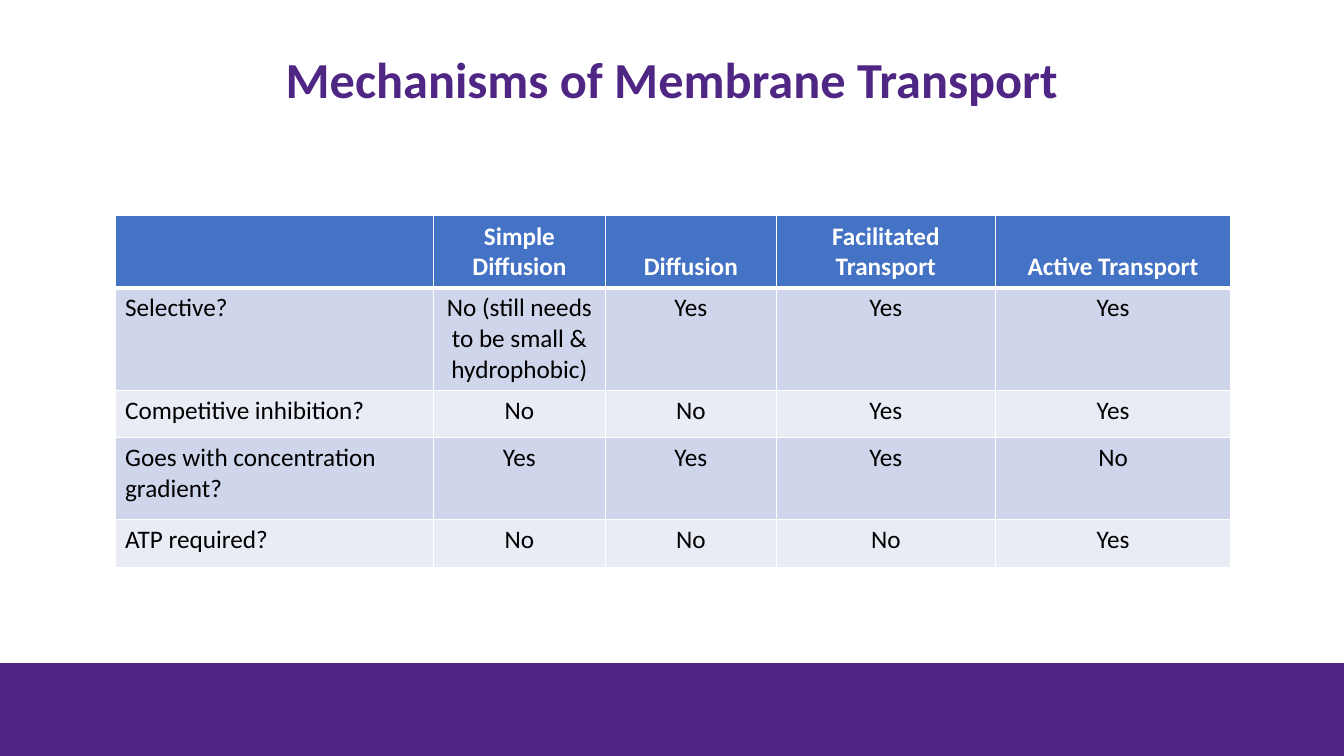
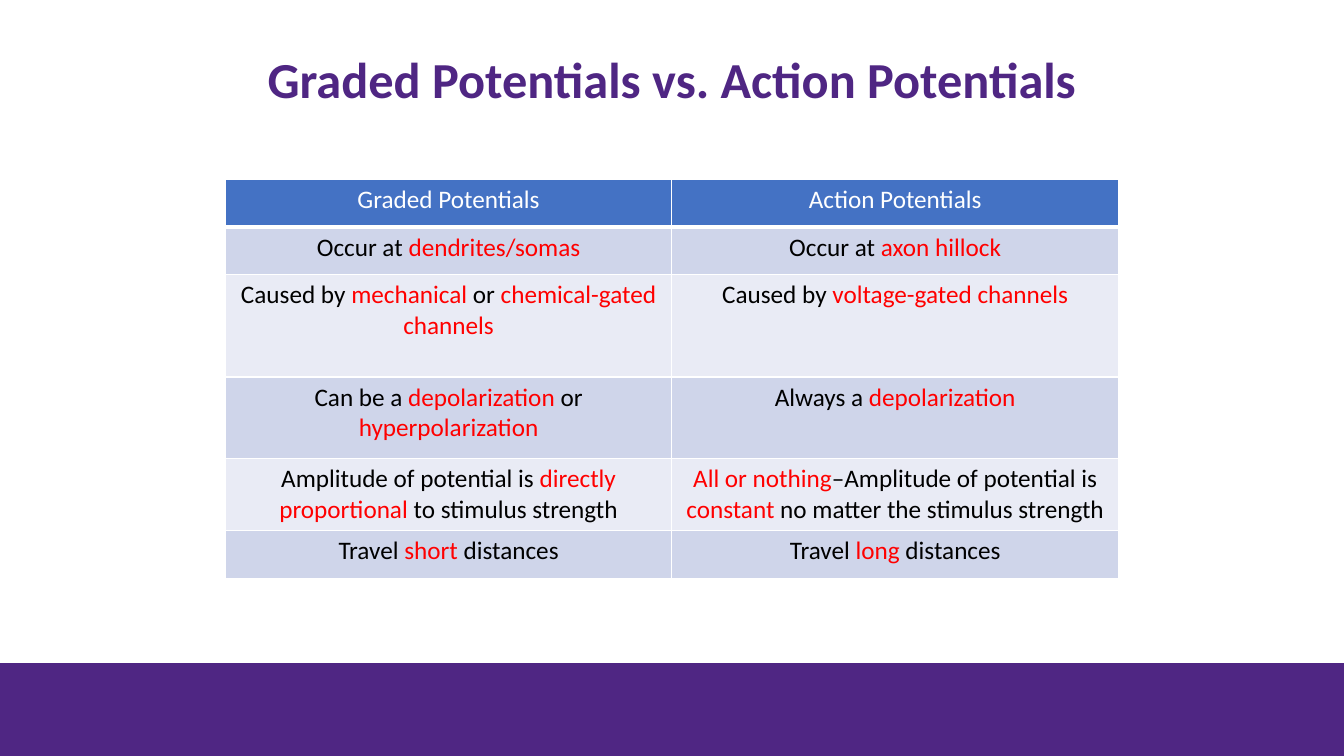
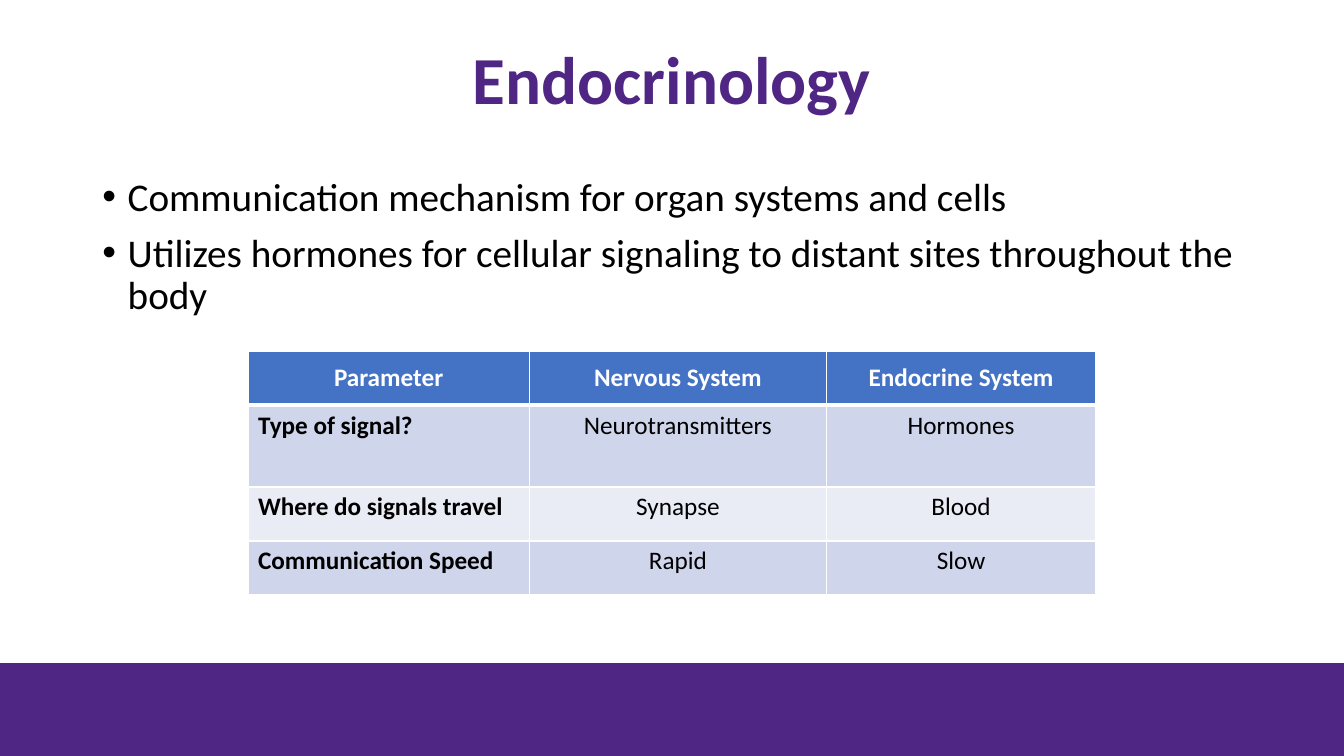
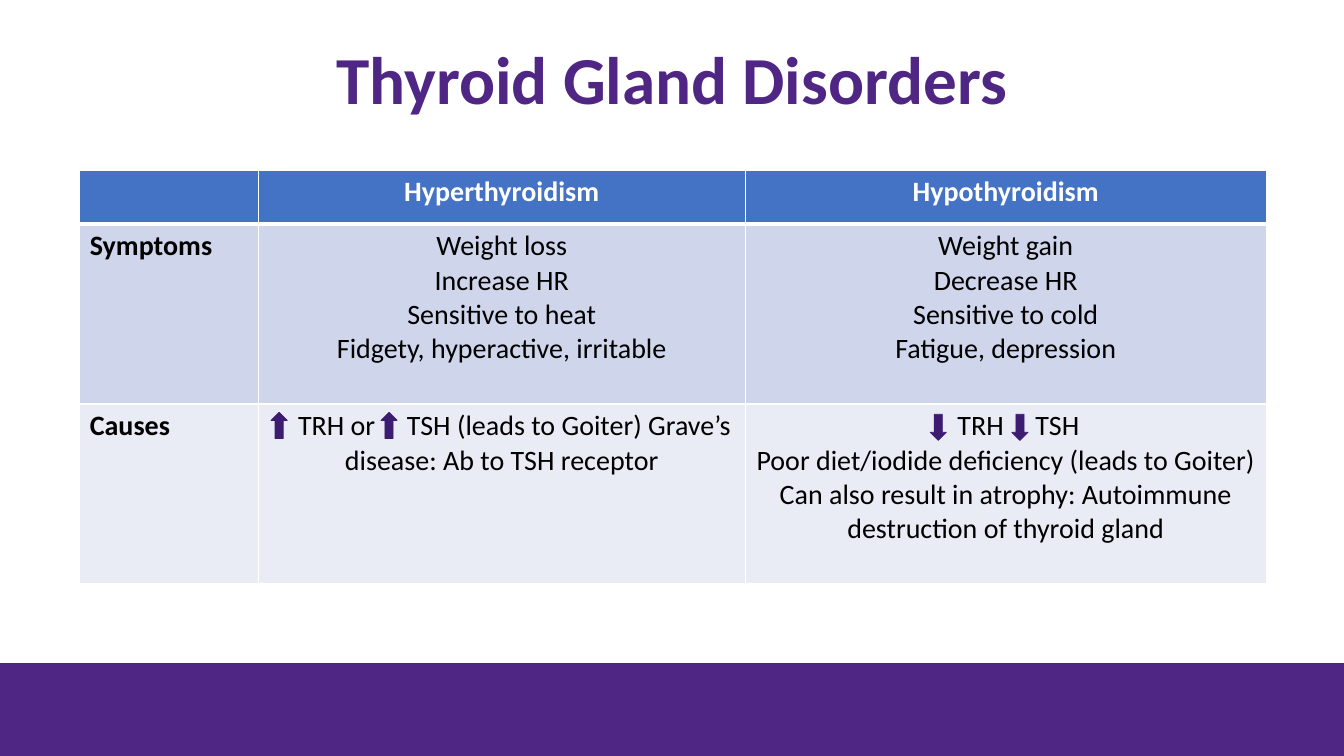
from collections import namedtuple

from lxml import etree
from pptx import Presentation
from pptx.dml.color import RGBColor
from pptx.enum.shapes import MSO_SHAPE
from pptx.enum.text import MSO_ANCHOR, PP_ALIGN
from pptx.oxml.ns import qn
from pptx.util import Cm, Pt

LEFT, CENTER = PP_ALIGN.LEFT, PP_ALIGN.CENTER
TOP, MIDDLE, BOTTOM = MSO_ANCHOR.TOP, MSO_ANCHOR.MIDDLE, MSO_ANCHOR.BOTTOM
RECTANGLE = MSO_SHAPE.RECTANGLE
UP, DOWN = MSO_SHAPE.UP_ARROW, MSO_SHAPE.DOWN_ARROW

# Shared style
FONT = "Calibri"
PURPLE = RGBColor(0x4F, 0x26, 0x83)
ARROW_PURPLE = RGBColor(0x3C, 0x1B, 0x71)
HEADER_BLUE = RGBColor(0x44, 0x72, 0xC4)
ROW_FILLS = (RGBColor(0xCF, 0xD5, 0xEA), RGBColor(0xE9, 0xEB, 0xF5))
RED = RGBColor(0xFF, 0, 0)
BLACK = RGBColor(0, 0, 0)
WHITE = RGBColor(0xFF, 0xFF, 0xFF)
PAGE_WIDTH, PAGE_HEIGHT = 33.87, 19.05
BAND_TOP = 16.71
MARGIN, CONTENT_WIDTH = 2.33, 29.21
THIN, THICK = 1, 3

# A paragraph is a string or a tuple of spans; a cell may list paragraphs
Span = namedtuple("Span", "text color spacing", defaults=(None, None))


def red(text):
    return Span(text, color=RED)


def gap(points):
    """One space, widened to make room for an arrow."""
    return Span(" ", spacing=points)


# Content
SLIDES = [
    {
        "title": "Mechanisms of Membrane Transport", "title_size": 36,
        "at": (2.9, 5.44),
        "columns": (8.03, 4.32, 4.32, 5.51, 5.94),
        "heights": (1.81, 2.58, 1.2, 2.06, 1.2),
        "header_anchor": BOTTOM, "labels": True,
        "rows": [
            ("", "Simple Diffusion", "Diffusion", "Facilitated Transport", "Active Transport"),
            ("Selective?", "No (still needs to be small & hydrophobic)", "Yes", "Yes", "Yes"),
            ("Competitive inhibition?", "No", "No", "Yes", "Yes"),
            ("Goes with concentration gradient?", "Yes", "Yes", "Yes", "No"),
            ("ATP required?", "No", "No", "No", "Yes"),
        ],
    },
    {
        "title": "Graded Potentials vs. Action Potentials", "title_size": 36,
        "at": (5.69, 4.52),
        "columns": (11.23, 11.28),
        "heights": (1.2, 1.2, 2.58, 2.06, 1.81, 1.2),
        "header_bold": False,
        "rows": [
            ("Graded Potentials", "Action Potentials"),
            (("Occur at ", red("dendrites/somas")),
             ("Occur at ", red("axon hillock"))),
            (("Caused by ", red("mechanical "), "or ", red("chemical-gated channels")),
             ("Caused by ", red("voltage-gated channels"))),
            (("Can be a ", red("depolarization"), " or ", red("hyperpolarization")),
             ("Always a ", red("depolarization"))),
            (("Amplitude of potential is ", red("directly proportional"),
              " to stimulus strength"),
             (red("All or nothing"), "–Amplitude of potential is ", red("constant"),
              " no matter the stimulus strength")),
            (("Travel ", red("short"), " distances"),
             ("Travel ", red("long"), " distances")),
        ],
    },
    {
        "title": "Endocrinology", "title_size": 48,
        "bullets": [
            "Communication mechanism for organ systems and cells",
            "Utilizes hormones for cellular signaling to distant sites throughout the body",
        ],
        "at": (6.25, 8.85),
        "columns": (7.09, 7.49, 6.78),
        "heights": (1.36, 2.06, 1.36, 1.36),
        "header_anchor": MIDDLE, "labels": True, "label_bold": True,
        "rows": [
            ("Parameter", "Nervous System", "Endocrine System"),
            ("Type of signal?", "Neurotransmitters", "Hormones"),
            ("Where do signals travel", "Synapse", "Blood"),
            ("Communication Speed", "Rapid", "Slow"),
        ],
    },
    {
        "title": "Thyroid Gland Disorders", "title_size": 48,
        "at": (2.01, 4.29),
        "columns": (4.5, 12.27, 13.13),
        "heights": (1.36, 4.53, 4.53),
        "labels": True, "label_bold": True, "size": 20,
        "rows": [
            ("", "Hyperthyroidism", "Hypothyroidism"),
            ("Symptoms",
             ["Weight loss", "Increase HR", "Sensitive to heat",
              "Fidgety, hyperactive, irritable"],
             ["Weight gain", "Decrease HR", "Sensitive to cold",
              "Fatigue, depression"]),
            ("Causes",
             (gap(13.5), "TRH or", gap(18),
              "TSH (leads to Goiter) Grave’s disease: Ab to TSH receptor"),
             [(gap(13.5), "TRH", gap(18), "TSH"),
              "Poor diet/iodide deficiency (leads to Goiter)",
              "Can also result in atrophy: Autoimmune destruction of thyroid gland"]),
        ],
        "arrows": [(UP, 6.83, 10.39), (UP, 9.6, 10.39),
                   (DOWN, 23.44, 10.44), (DOWN, 25.5, 10.44)],
    },
]


def set_font(font, size, color, bold=False):
    for name, value in {"name": FONT, "size": Pt(size), "bold": bold}.items():
        setattr(font, name, value)
    font.color.rgb = color


def write_paragraph(para, content, size, color, bold=False, **layout):
    for name, value in layout.items():
        setattr(para, name, value)
    for part in content if isinstance(content, tuple) and not isinstance(content, Span) else (content,):
        span = part if isinstance(part, Span) else Span(part)
        run = para.add_run()
        run.text = span.text
        set_font(run.font, size, span.color or color, bold)
        if span.spacing:
            run._r.get_or_add_rPr().set("spc", str(int(span.spacing * 100)))


def write_paragraphs(frame, contents, *style, **layout):
    for index, content in enumerate(contents):
        para = frame.paragraphs[0] if index == 0 else frame.add_paragraph()
        write_paragraph(para, content, *style, **layout)


def add_filled_shape(page, kind, left, top, width, height, color):
    shape = page.shapes.add_shape(kind, Cm(left), Cm(top), Cm(width), Cm(height))
    shape.shadow.inherit = False
    shape.fill.solid()
    shape.fill.fore_color.rgb = color
    return shape


def add_page(deck, title, size):
    page = deck.slides.add_slide(deck.slide_layouts[5])
    box = page.shapes.title
    place = {"left": MARGIN, "top": 0.56, "width": CONTENT_WIDTH, "height": 3.03}
    for name, value in place.items():
        setattr(box, name, Cm(value))
    box.text_frame.vertical_anchor = MIDDLE
    write_paragraph(box.text_frame.paragraphs[0], title, size, PURPLE, True,
                    alignment=CENTER, line_spacing=0.9)
    band = add_filled_shape(page, RECTANGLE, 0, BAND_TOP, PAGE_WIDTH,
                            PAGE_HEIGHT - BAND_TOP, PURPLE)
    band.line.fill.background()
    return page


def add_bullets(page, bullets):
    box = page.shapes.add_textbox(Cm(MARGIN), Cm(4.34), Cm(CONTENT_WIDTH), Cm(4))
    box.text_frame.word_wrap = True
    write_paragraphs(box.text_frame, bullets, 28, BLACK, line_spacing=0.9)
    for index, para in enumerate(box.text_frame.paragraphs):
        para.space_before = Pt(10 if index else 0)
        properties = para._p.get_or_add_pPr()
        properties.set("marL", str(Cm(0.64)))
        properties.set("indent", str(-Cm(0.64)))
        etree.SubElement(properties, qn("a:buFont")).set("typeface", "Arial")
        etree.SubElement(properties, qn("a:buChar")).set("char", "•")


def set_borders(cell, row):
    widths = {"lnL": THIN, "lnR": THIN,
              "lnT": THICK if row == 1 else THIN,
              "lnB": THICK if row == 0 else THIN}
    properties = cell._tc.get_or_add_tcPr()
    for index, (edge, width) in enumerate(widths.items()):
        line = etree.Element(qn(f"a:{edge}"), w=str(Pt(width)))
        fill = etree.SubElement(line, qn("a:solidFill"))
        etree.SubElement(fill, qn("a:srgbClr")).set("val", str(WHITE))
        properties.insert(index, line)


def add_grid(page, item):
    rows, columns, heights = item["rows"], item["columns"], item["heights"]
    left, top = item["at"]
    table = page.shapes.add_table(
        len(rows), len(columns), Cm(left), Cm(top),
        Cm(sum(columns)), Cm(sum(heights))).table
    for column, width in zip(table.columns, columns):
        column.width = Cm(width)
    for row, height in zip(table.rows, heights):
        row.height = Cm(height)

    for r, row in enumerate(rows):
        for c, content in enumerate(row):
            cell = table.cell(r, c)
            header = r == 0
            label = not header and c == 0 and item.get("labels", False)
            cell.fill.solid()
            cell.fill.fore_color.rgb = HEADER_BLUE if header else ROW_FILLS[(r - 1) % 2]
            set_borders(cell, r)
            cell.vertical_anchor = item.get("header_anchor", TOP) if header else TOP
            bold = (item.get("header_bold", True) if header
                    else label and item.get("label_bold", False))
            if content:
                write_paragraphs(
                    cell.text_frame, content if isinstance(content, list) else [content],
                    item.get("size", 18), WHITE if header else BLACK, bold,
                    alignment=LEFT if label else CENTER)


def main():
    deck = Presentation()
    deck.slide_width, deck.slide_height = Cm(PAGE_WIDTH), Cm(PAGE_HEIGHT)
    for item in SLIDES:
        page = add_page(deck, item["title"], item["title_size"])
        if "bullets" in item:
            add_bullets(page, item["bullets"])
        add_grid(page, item)
        for kind, left, top in item.get("arrows", []):
            arrow = add_filled_shape(page, kind, left, top, 0.41, 0.66, ARROW_PURPLE)
            arrow.line.color.rgb = ARROW_PURPLE
            arrow.line.width = Pt(0.5)
    deck.save("out.pptx")


if __name__ == "__main__":
    main()
